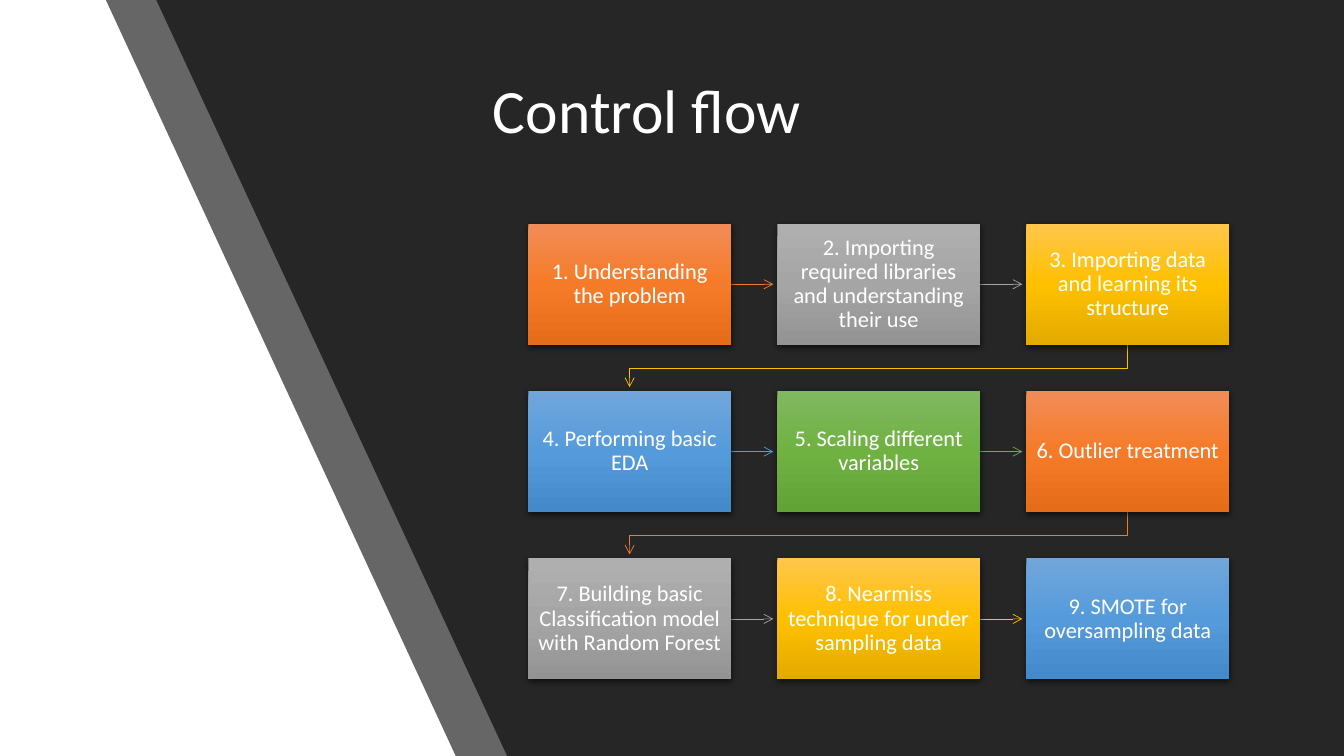
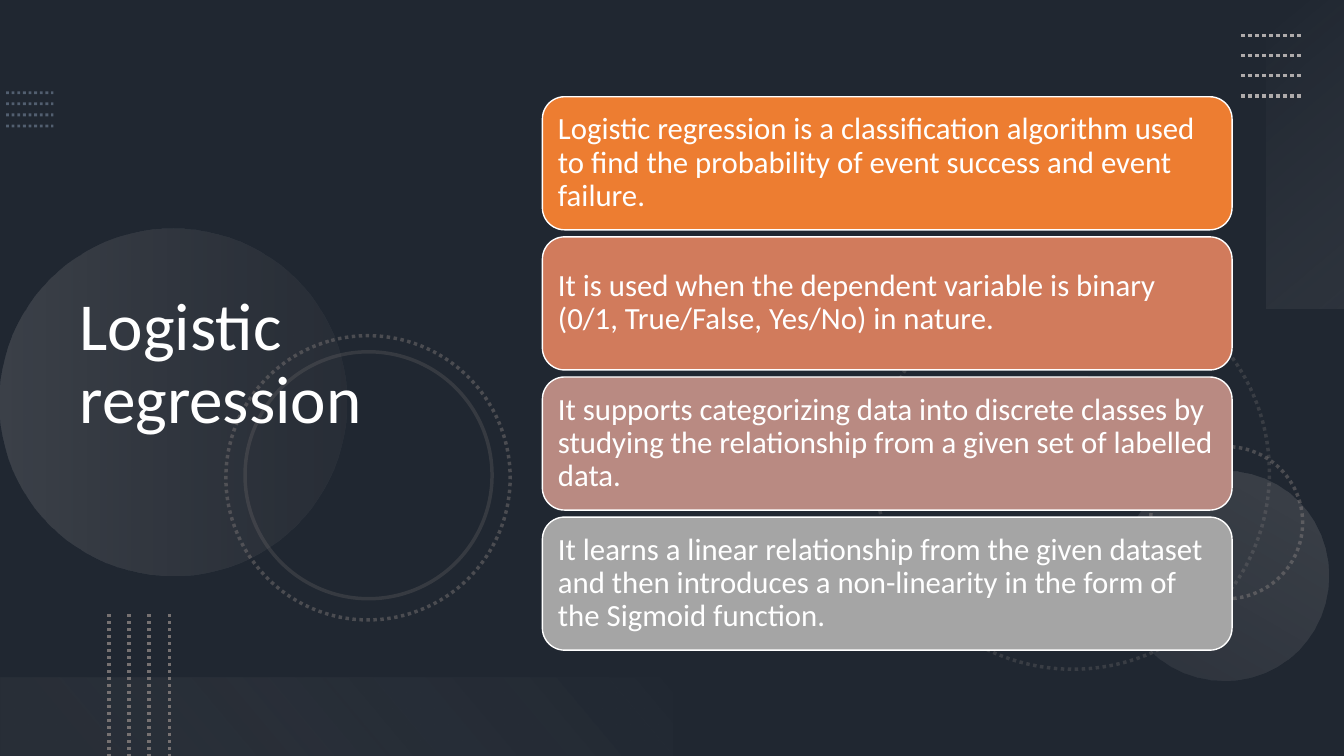
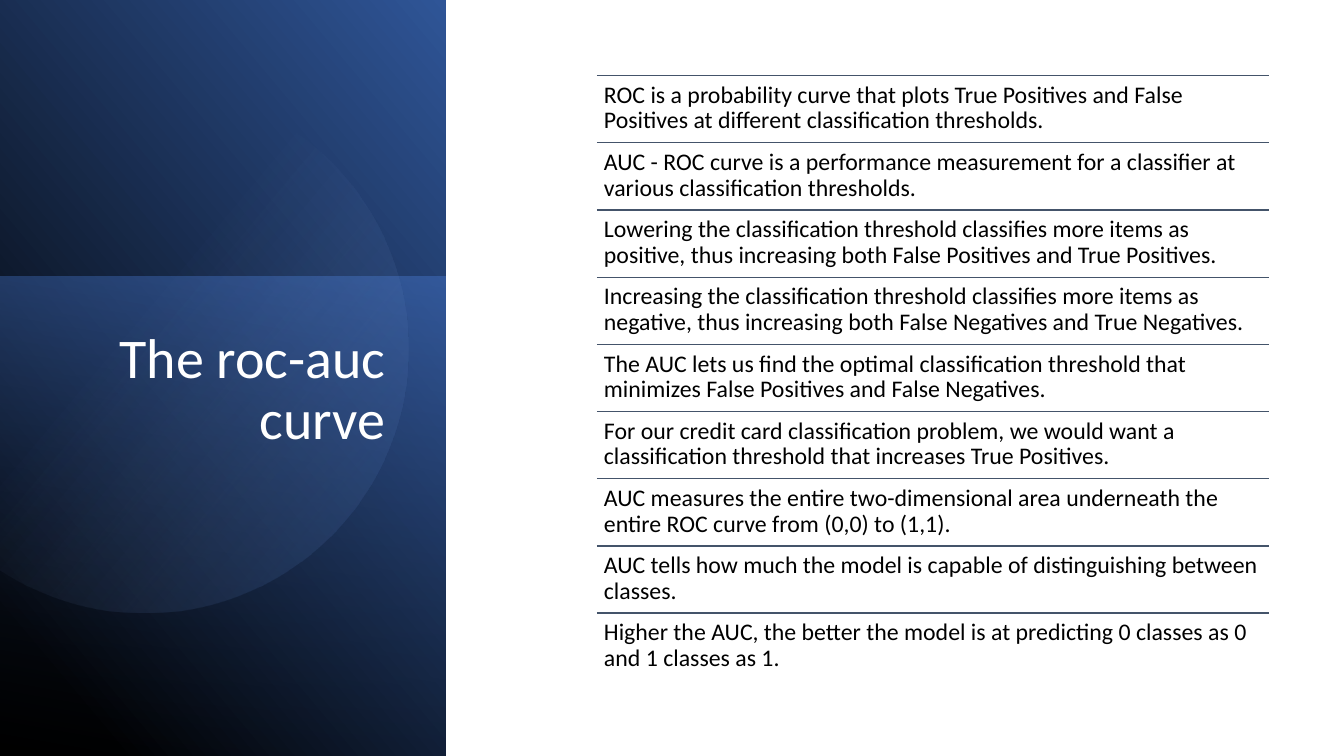
from dataclasses import dataclass
from itertools import pairwise
from math import acos, cos, pi, sin
from typing import Optional, Sequence

from lxml.etree import SubElement
from pptx import Presentation
from pptx.dml.color import RGBColor
from pptx.enum.dml import MSO_LINE
from pptx.enum.shapes import MSO_CONNECTOR, MSO_SHAPE
from pptx.enum.text import MSO_ANCHOR, PP_ALIGN
from pptx.oxml.ns import qn
from pptx.shapes.autoshape import Shape
from pptx.slide import Slide
from pptx.util import Inches, Pt

FONT = "Calibri"
WIDE, HIGH = 13.33, 7.5
INK = {
    "white": "FFFFFF", "black": "000000", "coal": "262626", "slate": "44546A",
    "steel": "8497B0", "gray": "767171", "ash": "AFABAB", "pale": "F5F5F5",
    "mist": "F1F0F0", "navy": "203864", "royal": "2F5597", "blue": "4472C4",
    "sky": "8FAADC", "rust": "D17B5C", "rose": "B98A82",
    "orange": "ED7D31", "silver": "A5A5A5", "gold": "FFC000",
    "azure": "5B9BD5", "green": "70AD47",
}
SHADES = {
    "orange": ("F18C57", "F67B28", "E56C19"),
    "silver": ("AFAFAF", "A5A5A5", "939393"),
    "gold": ("FFC64B", "FFC000", "E3AB00"),
    "azure": ("71A6DB", "559BDB", "448ACA"),
    "green": ("81B861", "6FB242", "62A336"),
}


@dataclass(frozen=True)
class Stop:
    place: float
    hue: str
    alpha: float = 100


@dataclass(frozen=True)
class Fade:
    stops: tuple[Stop, ...]
    angle: float


@dataclass(frozen=True)
class Pen:
    hue: str
    width: float
    dotted: bool = False
    alpha: float = 100
    arrow: bool = False


@dataclass(frozen=True)
class Paint:
    hue: str
    alpha: float = 100


@dataclass(frozen=True)
class Box:
    left: float
    top: float
    width: float
    height: float
    turn: float = 0
    flip: bool = False


@dataclass(frozen=True)
class Type:
    size: float
    hue: str = "white"
    align: PP_ALIGN = PP_ALIGN.LEFT
    anchor: MSO_ANCHOR = MSO_ANCHOR.MIDDLE
    inset: Optional[float] = None


@dataclass(frozen=True)
class Rows:
    start: tuple[float, float]
    end: tuple[float, float]
    step: tuple[float, float]
    pen: Pen


Fill = Optional[Paint | Fade]
Point = tuple[float, float]


def tone(hue: str) -> str:
    return INK.get(hue, hue)


def tint(node, alpha: float) -> None:
    if alpha < 100:
        SubElement(node, qn("a:alpha"), val=str(round(alpha * 1000)))


def draw(item, pen: Optional[Pen]) -> None:
    if pen is None:
        item.line.fill.background()
        return
    item.line.color.rgb = RGBColor.from_string(tone(pen.hue))
    item.line.width = Pt(pen.width)
    if pen.dotted:
        item.line.dash_style = MSO_LINE.ROUND_DOT
    edge = item.line._get_or_add_ln()
    tint(edge.find(".//" + qn("a:srgbClr")), pen.alpha)
    if pen.arrow:
        SubElement(edge, qn("a:tailEnd"), type="arrow")


def coat(item: Shape, fill: Fill, pen: Optional[Pen] = None) -> Shape:
    item.shadow.inherit = False
    props = item.element.spPr
    if fill is None:
        item.fill.background()
    elif isinstance(fill, Paint):
        item.fill.solid()
        item.fill.fore_color.rgb = RGBColor.from_string(tone(fill.hue))
        tint(props.find(".//" + qn("a:srgbClr")), fill.alpha)
    else:
        item.fill.gradient()
        grad = props.find(qn("a:gradFill"))
        for child in list(grad):
            grad.remove(child)
        stops = SubElement(grad, qn("a:gsLst"))
        for stop in fill.stops:
            mark = SubElement(stops, qn("a:gs"), pos=str(round(stop.place * 1000)))
            tint(SubElement(mark, qn("a:srgbClr"), val=tone(stop.hue)), stop.alpha)
        SubElement(grad, qn("a:lin"), ang=str(round(fill.angle * 60000)), scaled="0")
    draw(item, pen)
    return item


def form(slide: Slide, kind: MSO_SHAPE, box: Box, fill: Fill,
         pen: Optional[Pen] = None) -> Shape:
    item = slide.shapes.add_shape(kind, Inches(box.left), Inches(box.top),
                                  Inches(box.width), Inches(box.height))
    item.rotation = box.turn
    if box.flip:
        item.element.spPr.find(qn("a:xfrm")).set("flipH", "1")
    return coat(item, fill, pen)


def trace(slide: Slide, points: Sequence[Point], fill: Fill,
          pen: Optional[Pen] = None, close: bool = True) -> Shape:
    first, *rest = [(Inches(x), Inches(y)) for x, y in points]
    maker = slide.shapes.build_freeform(*first)
    maker.add_line_segments(rest, close=close)
    return coat(maker.convert_to_shape(), fill, pen)


def rule(slide: Slide, start: Point, end: Point, pen: Pen) -> None:
    item = slide.shapes.add_connector(
        MSO_CONNECTOR.STRAIGHT, *(Inches(v) for v in (*start, *end)))
    draw(item, pen)
    SubElement(item.element.spPr, qn("a:effectLst"))


def rules(slide: Slide, rows: Rows, count: int = 4) -> None:
    dx, dy = rows.step
    for n in range(count):
        start, end = ((x + n * dx, y + n * dy) for x, y in (rows.start, rows.end))
        rule(slide, start, end, rows.pen)


def write(item: Shape, text: str, style: Type) -> None:
    frame = item.text_frame
    frame.word_wrap = True
    frame.vertical_anchor = style.anchor
    if style.inset is not None:
        frame.margin_left = frame.margin_right = Inches(style.inset)
        frame.margin_top = frame.margin_bottom = Inches(style.inset)
    para = frame.paragraphs[0]
    para.alignment = style.align
    para.line_spacing = 0.9
    run = para.add_run()
    run.text = text
    run.font.name = FONT
    run.font.size = Pt(style.size)
    run.font.color.rgb = RGBColor.from_string(tone(style.hue))


def label(slide: Slide, box: Box, text: str, style: Type) -> None:
    item = slide.shapes.add_textbox(Inches(box.left), Inches(box.top),
                                    Inches(box.width), Inches(box.height))
    write(item, text, style)


def shade(item: Shape) -> None:
    glow = SubElement(item.element.spPr.find(qn("a:effectLst")), qn("a:outerShdw"),
                      blurRad=str(Pt(4.5)), dist=str(Pt(1.5)), dir="5400000",
                      algn="ctr", rotWithShape="0")
    tint(SubElement(glow, qn("a:srgbClr"), val=INK["black"]), 63)


def start(deck, back: str) -> Slide:
    slide = deck.slides.add_slide(deck.slide_layouts[6])
    slide.background.fill.solid()
    slide.background.fill.fore_color.rgb = RGBColor.from_string(INK[back])
    return slide


FULL = Box(0, 0, WIDE, HIGH)
STEPS = (
    ("1. Understanding the problem", "orange"),
    ("2. Importing required libraries and understanding their use", "silver"),
    ("3. Importing data and learning its structure", "gold"),
    ("4. Performing basic EDA", "azure"),
    ("5. Scaling different variables", "green"),
    ("6. Outlier treatment", "orange"),
    ("7. Building basic Classification model with Random Forest", "silver"),
    ("8. Nearmiss technique for under sampling data", "gold"),
    ("9. SMOTE for oversampling data", "azure"),
)
FACTS = (
    ("Logistic regression is a classification algorithm used to find the "
     "probability of event success and event failure.", "orange"),
    ("It is used when the dependent variable is binary (0/1, True/False, Yes/No) "
     "in nature.", "rust"),
    ("It supports categorizing data into discrete classes by studying the "
     "relationship from a given set of labelled data.", "rose"),
    ("It learns a linear relationship from the given dataset and then introduces "
     "a non-linearity in the form of the Sigmoid function.", "silver"),
)
NOTES = (
    "ROC is a probability curve that plots True Positives and False Positives at "
    "different classification thresholds.",
    "AUC - ROC curve is a performance measurement for a classifier at various "
    "classification thresholds.",
    "Lowering the classification threshold classifies more items as positive, thus "
    "increasing both False Positives and True Positives.",
    "Increasing the classification threshold classifies more items as negative, "
    "thus increasing both False Negatives and True Negatives.",
    "The AUC lets us find the optimal classification threshold that minimizes "
    "False Positives and False Negatives.",
    "For our credit card classification problem, we would want a classification "
    "threshold that increases True Positives.",
    "AUC measures the entire two-dimensional area underneath the entire ROC curve "
    "from (0,0) to (1,1).",
    "AUC tells how much the model is capable of distinguishing between classes.",
    "Higher the AUC, the better the model is at predicting 0 classes as 0 and 1 "
    "classes as 1.",
)


def link(slide: Slide, here: Box, there: Box, hue: str) -> None:
    pen = Pen(hue, 0.5, arrow=True)
    if here.top == there.top:
        mid = here.top + here.height / 2
        rule(slide, (here.left + here.width, mid), (there.left - 0.04, mid), pen)
        return
    base = here.top + here.height
    bend = (base + there.top) / 2
    x, goal = (box.left + box.width / 2 for box in (here, there))
    trace(slide, [(x, base), (x, bend), (goal, bend), (goal, there.top - 0.04)],
          None, pen, close=False)


def flow(deck) -> None:
    slide = start(deck, "black")
    form(slide, MSO_SHAPE.RECTANGLE, FULL, Paint("white"))
    for top, foot, alpha in ((1.05, 4.52, 70), (1.55, 5.03, 100)):
        trace(slide, [(WIDE, HIGH), (foot, HIGH), (top, 0), (WIDE, 0)],
              Paint("coal", alpha))
    label(slide, Box(4.79, 0.4, 7.84, 1.45), "Control flow", Type(44))
    cells = [Box(5.24 + 2.47 * (n % 3), 2.22 + 1.66 * (n // 3), 2.01, 1.2)
             for n in range(len(STEPS))]
    for (here, there), (_, hue) in zip(pairwise(cells), STEPS):
        link(slide, here, there, hue)
    for cell, (text, hue) in zip(cells, STEPS):
        stops = tuple(Stop(50 * n, tint) for n, tint in enumerate(SHADES[hue]))
        card = form(slide, MSO_SHAPE.RECTANGLE, cell, Fade(stops, 90))
        shade(card)
        write(card, text, Type(16, align=PP_ALIGN.CENTER, inset=0.1))


def model(deck) -> None:
    slide = start(deck, "slate")
    form(slide, MSO_SHAPE.RECTANGLE, FULL, Paint("black", 53))
    rules(slide, Rows((0.06, 0.92), (0.53, 0.92), (0, 0.11),
                      Pen("steel", 2, True, 50)))
    ball = Fade((Stop(0, "ash", 20), Stop(100, "gray", 10)), 90)
    orb = Fade((Stop(0, "ash", 10), Stop(100, "ash", 20)), 90)
    discs = (
        (Box(8.69, 2.74, 3.9, 3.9, 75), None, Pen("gray", 2.5, True, 30)),
        (Box(11.41, 4.43, 1.51, 1.51, 270), None, Pen("gray", 2.5, True, 50)),
        (Box(0, 2.27, 3.44, 3.44, 270), ball, None),
        (Box(11.1, 4.67, 2.08, 2.08, 210), orb, None),
        (Box(2.24, 3.33, 2.82, 2.82, 75), None, Pen("gray", 2.5, True, 50)),
        (Box(2.43, 3.49, 2.45, 2.45, 75), None, Pen("gray", 2.5, alpha=25)),
    )
    for box, fill, pen in discs:
        form(slide, MSO_SHAPE.OVAL, box, fill, pen)
    form(slide, MSO_SHAPE.RECTANGLE, Box(11.42, 1.14, 3.06, 0.78, 270),
         Fade((Stop(0, "pale", 0), Stop(100, "ash", 10)), 140))
    rules(slide, Rows((12.31, 0.35), (12.91, 0.35), (0, 0.2),
                      Pen("ash", 2.5, True)))
    form(slide, MSO_SHAPE.RECTANGLE, Box(0, 6.72, 6.67, 0.78, 180),
         Fade((Stop(10, "gray", 10), Stop(100, "mist", 0)), 140))
    rules(slide, Rows((1.08, 6.09), (1.08, HIGH), (0.2, 0),
                      Pen("gray", 2.5, True)))
    label(slide, Box(0.69, 0.54, 4.59, 6.17), "Logistic regression", Type(48))
    for n, (text, hue) in enumerate(FACTS):
        card = form(slide, MSO_SHAPE.ROUNDED_RECTANGLE,
                    Box(5.38, 0.96 + 1.39 * n, 6.84, 1.32),
                    Paint(hue), Pen("white", 1))
        write(card, text, Type(22, inset=0.09))


def curve(deck) -> None:
    slide = start(deck, "white")
    form(slide, MSO_SHAPE.RECTANGLE, Box(-1.55, 1.55, 7.52, 4.42, 90, True),
         Fade((Stop(11, "black"), Stop(100, "royal")), 310))
    form(slide, MSO_SHAPE.RECTANGLE, Box(-0.17, 2.91, 4.76, 4.42, 270),
         Fade((Stop(0, "blue", 50), Stop(100, "navy", 0)), 190))
    x, y, size, count = 1.43, 3.46, 2.62, 120
    reach = pi - acos(x / size)
    turns = [reach * (2 * n / count - 1) for n in range(count + 1)]
    trace(slide, [(x + size * cos(t), y + size * sin(t)) for t in turns],
          Fade((Stop(39, "sky", 0), Stop(100, "royal", 26)), 40))
    label(slide, Box(0.58, 3.23, 3.34, 3.86), "The roc-auc curve",
          Type(40, align=PP_ALIGN.RIGHT, anchor=MSO_ANCHOR.TOP))
    left, width, pitch = 5.92, 6.67, 6 / len(NOTES)
    for n, text in enumerate(NOTES):
        top = 0.75 + pitch * n
        rule(slide, (left, top), (left + width, top), Pen("slate", 1))
        label(slide, Box(left, top, width, pitch), text,
              Type(17, "black", anchor=MSO_ANCHOR.TOP, inset=0.07))


def main() -> None:
    deck = Presentation()
    deck.slide_width, deck.slide_height = Inches(WIDE), Inches(HIGH)
    for build in (flow, model, curve):
        build(deck)
    deck.save("out.pptx")


if __name__ == "__main__":
    main()
